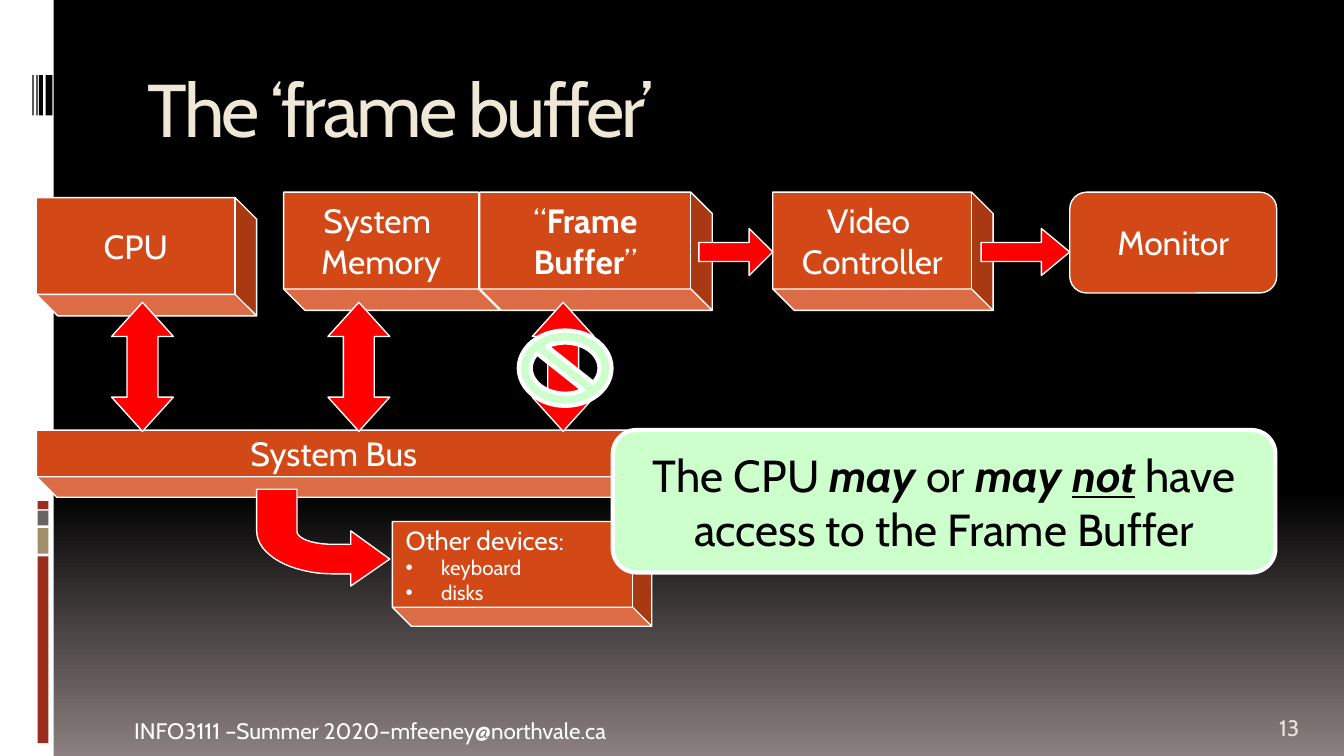
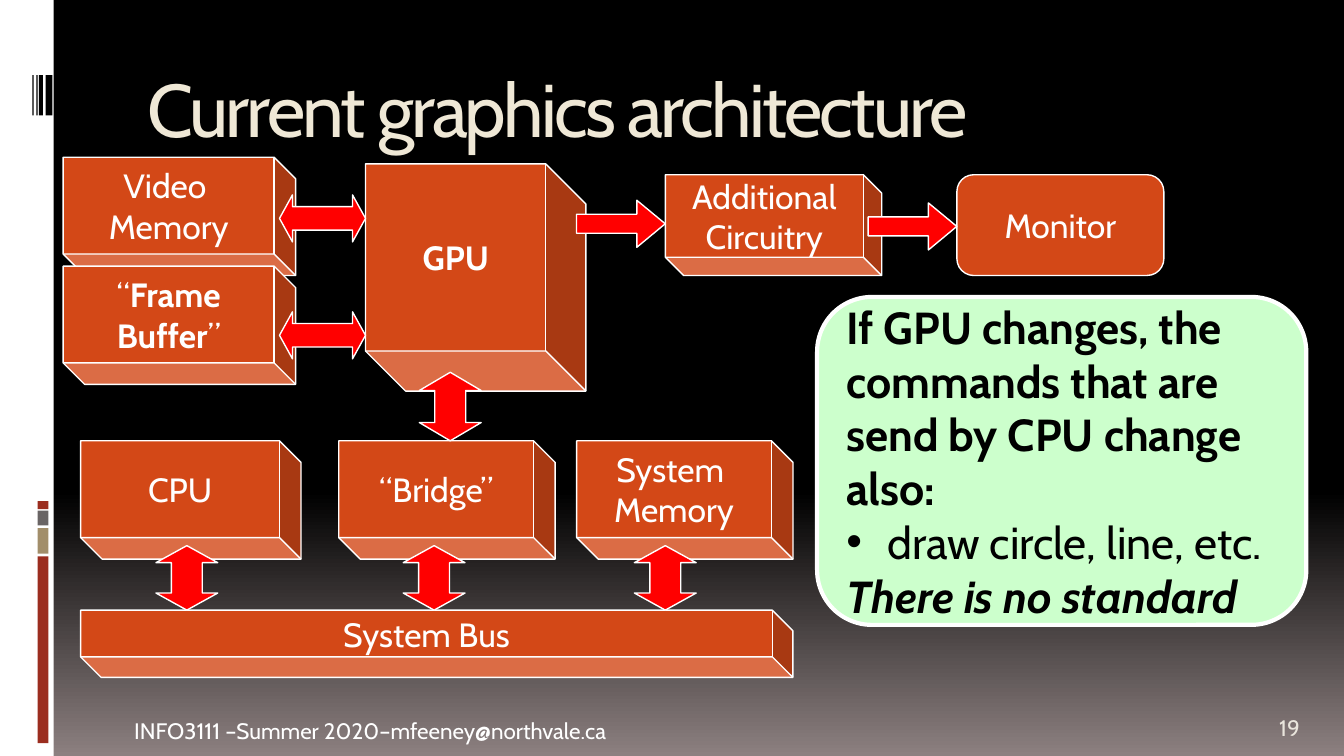
from pptx import Presentation
from pptx.dml.color import RGBColor
from pptx.enum.shapes import MSO_SHAPE
from pptx.enum.text import MSO_ANCHOR, PP_ALIGN
from pptx.oxml.ns import qn
from pptx.util import Inches, Pt

RECT = MSO_SHAPE.RECTANGLE
ROUND = MSO_SHAPE.ROUNDED_RECTANGLE
CUBE = MSO_SHAPE.CUBE
RIGHT = MSO_SHAPE.RIGHT_ARROW
DOUBLE = MSO_SHAPE.LEFT_RIGHT_ARROW
BAN = MSO_SHAPE.NO_SYMBOL
LEFT, CENTER = PP_ALIGN.LEFT, PP_ALIGN.CENTER
TOP, MIDDLE, BOTTOM = MSO_ANCHOR.TOP, MSO_ANCHOR.MIDDLE, MSO_ANCHOR.BOTTOM


class Theme:
    font, dot = "Cabin", "Arial"
    black, white, ash = "000000", "FFFFFF", "8C8080"
    cream, pale = "EFE8D6", "E9E5DC"
    brick, sand, gray = "9B2D1F", "A28E6A", "696464"
    block, arrow, note = "D34817", "FF0000", "CCFFCC"
    title, call, label, list, foot, item = 40, 24, 18, 14, 12, 11
    thin, thick = 0.75, 2.25
    hang = 0.23


def put(slide, kind, box, fill, line=0, adjs=()):
    shape = slide.shapes.add_shape(kind, *[Inches(n) for n in box])
    shape.shadow.inherit = False
    shape.fill.solid()
    shape.fill.fore_color.rgb = RGBColor.from_string(fill)
    if line:
        shape.line.color.rgb = RGBColor.from_string(Theme.white)
        shape.line.width = Pt(line)
    else:
        shape.line.fill.background()
    for pos, value in enumerate(adjs):
        shape.adjustments[pos] = value
    return shape


def write(shape, lines, size, color, align=CENTER, anchor=MIDDLE, wrap=False, small=None):
    frame = shape.text_frame
    frame.word_wrap = wrap
    frame.vertical_anchor = anchor
    for row, line in enumerate(lines):
        para = frame.add_paragraph() if row else frame.paragraphs[0]
        para.alignment = align
        parts = [(line, "")] if isinstance(line, str) else line
        mark = parts[0][0].startswith("•")
        if mark:
            parts = [(parts[0][0][1:], "")]
            props = para._p.get_or_add_pPr()
            props.set("marL", str(Inches(Theme.hang)))
            props.set("indent", str(-Inches(Theme.hang)))
            props.append(props.makeelement(qn("a:buFont"), {"typeface": Theme.dot}))
            props.append(props.makeelement(qn("a:buChar"), {"char": "•"}))
        for text, flags in parts:
            start = len(para.runs)
            if start:
                para.add_run().text = text
            else:
                para.text = text
            for run in para.runs[start:]:
                font = run.font
                font.name = Theme.font
                font.size = Pt(small if mark and small else size)
                font.color.rgb = RGBColor.from_string(color)
                font.bold = "b" in flags
                font.italic = "i" in flags
                font.underline = "u" in flags


deck = Presentation()
deck.slide_width = Inches(10)
deck.slide_height = deck.slide_width * 9 // 16
blank = deck.slide_layouts[6]

bands = [
    (0, 0, 0.4, deck.slide_height.inches, Theme.white),
    (0.28, 4.14, 0.08, 1.39, Theme.brick),
    (0.28, 3.93, 0.08, 0.19, Theme.sand),
    (0.28, 3.8, 0.08, 0.11, Theme.gray),
    (0.28, 3.73, 0.08, 0.06, Theme.brick),
]
bands += [(x, 0.56, w, 0.3, Theme.black)
          for x, w in [(0.34, 0.05), (0.29, 0.03), (0.27, 0.01), (0.24, 0.01)]]

memory = ["System ", "Memory"]
buffer = [[("“", ""), ("Frame", "b")], [("Buffer", "b"), ("”", "")]]

pages = [
    {
        "title": "The ‘frame buffer’",
        "page": "13",
        "cubes": [
            (0.27, 1.47, 1.64, 0.88, ["CPU"]),
            (5.75, 1.43, 1.64, 0.88, ["Video ", "Controller"]),
            (0.27, 3.2, 4.58, 0.5, ["System Bus"]),
            (2.92, 3.88, 1.93, 0.78, ["Other devices:", "• keyboard", "• disks"]),
            (2.11, 1.43, 1.61, 0.88, memory),
            (3.57, 1.43, 1.73, 0.88, buffer),
        ],
        "screen": (7.96, 1.43),
        "right": [(7.3, 1.7, 0.66, 0.603), (5.2, 1.7, 0.55, 0.502)],
        "flat": [],
        "tall": [(mid, 2.25, 0.96, 0.553) for mid in (1.06, 2.67, 4.19)],
        "note": (4.56, 3.2, 4.93, 1.06),
        "align": CENTER,
        "words": [
            [("The CPU ", ""), ("may", "bi"), (" or ", ""), ("may ", "bi"),
             ("not", "biu"), (" have", "")],
            "access to the Frame Buffer",
        ],
    },
    {
        "title": "Current graphics architecture",
        "page": "19",
        "cubes": [
            (0.6, 3.28, 1.64, 0.88, ["CPU"]),
            (0.6, 4.54, 5.3, 0.5, ["System Bus"]),
            (4.29, 3.28, 1.61, 0.88, memory),
            (0.47, 1.17, 1.73, 0.88, ["Video ", "Memory"]),
            (2.72, 1.22, 1.64, 1.69, [[("GPU", "b")]]),
            (0.47, 1.98, 1.73, 0.88, buffer),
            (2.52, 3.28, 1.61, 0.88, ["“Bridge”"]),
            (4.95, 1.3, 1.61, 0.75, ["Additional", "Circuitry"]),
        ],
        "screen": (7.12, 1.3),
        "right": [(4.29, 1.49, 0.66, 0.603), (6.46, 1.51, 0.66, 0.603)],
        "flat": [(2.08, 2.32), (2.08, 1.45)],
        "tall": [(mid, 4.06, 0.48, 0.276) for mid in (1.39, 3.23, 4.95)]
                + [(3.35, 2.77, 0.51, 0.295)],
        "note": (6.08, 2.21, 3.64, 2.44),
        "align": LEFT,
        "words": [
            [("If GPU changes, the\vcommands that are \vsend by CPU change\valso:", "b")],
            "• draw circle, line, etc.",
            [("There is no standard", "bi")],
        ],
    },
]

for page in pages:
    slide = deck.slides.add_slide(blank)
    back = slide.background.fill
    back.gradient()
    back.gradient_angle = 270
    for stop, spot, color in zip(back.gradient_stops, (0.65, 1), (Theme.black, Theme.ash)):
        stop.position = spot
        stop.color.rgb = RGBColor.from_string(color)

    for *box, color in bands:
        put(slide, RECT, box, color)

    for box, text, size, color, anchor in [
        ((0.9, 5.29, 8.11, 0.3), "INFO3111 –Summer 2020–mfeeney@northvale.ca",
         Theme.foot, Theme.white, TOP),
        ((9.42, 5.26, 0.5, 0.3), page["page"], Theme.foot, Theme.pale, BOTTOM),
        ((1, 0.42, 8.5, 0.75), page["title"], Theme.title, Theme.cream, TOP),
    ]:
        field = slide.shapes.add_textbox(*[Inches(n) for n in box])
        write(field, [text], size, color, LEFT, anchor, True)
    for run in field.text_frame.paragraphs[0].runs:
        run.font._element.set("spc", "-150")

    for *box, lines in page["cubes"]:
        depth = 0.306 if box[3] == 0.5 else 0.182
        cube = put(slide, CUBE, box, Theme.block, Theme.thin, [depth])
        cube.rotation = 180
        cube.element.spPr.xfrm.set("flipH", "1")
        cube.element.txBody.bodyPr.set("rot", "10800000")
        if len(lines) == 3:
            write(cube, lines, Theme.list, Theme.white, LEFT, small=Theme.item)
        else:
            write(cube, lines, Theme.label, Theme.white)

    screen = put(slide, ROUND, (*page["screen"], 1.54, 0.75), Theme.block, Theme.thin, [0.167])
    write(screen, ["Monitor"], Theme.label, Theme.white)

    for x, y, w, head in page["right"]:
        put(slide, RIGHT, (x, y, w, 0.35), Theme.arrow, Theme.thin, [0.406, head])
    for x, y in page["flat"]:
        put(slide, DOUBLE, (x, y, 0.64, 0.35), Theme.arrow, Theme.thin, [0.5, 0.276])

    note = put(slide, ROUND, page["note"], Theme.note, Theme.thick, [0.167])
    write(note, page["words"], Theme.call, Theme.black, page["align"])

    for mid, top, span, head in page["tall"]:
        box = (mid - span / 2, top + span / 2 - 0.23, span, 0.46)
        tall = put(slide, DOUBLE, box, Theme.arrow, Theme.thin, [0.5, head])
        tall.rotation = 90

first = deck.slides[0]
put(first, BAN, (3.86, 2.46, 0.69, 0.56), Theme.note, Theme.thick, [0.16])

bends = []
for curve in [
    [(2.48, 4.27), (2.17, 4.27), (1.91, 4.13), (1.91, 3.95)],
    [(2.21, 3.95), (2.21, 4.01), (2.33, 4.05), (2.48, 4.05)],
]:
    bends.append([
        tuple(a * (1 - t) ** 3 + 3 * b * t * (1 - t) ** 2 + 3 * c * t * t * (1 - t) + d * t ** 3
              for a, b, c, d in zip(*curve))
        for t in [step / 16 for step in range(17)]
    ])
outer, inner = bends
points = [(2.9, 4.16), (2.61, 4.36), (2.61, 4.27), *outer, (1.91, 3.64), (2.21, 3.64),
          *inner, (2.61, 4.05), (2.61, 3.95)]
points = [(x * 1000, y * 1000) for x, y in points]
pen = first.shapes.build_freeform(*points[0], scale=Inches(1) / 1000)
pen.add_line_segments(points[1:], close=True)
hook = pen.convert_to_shape()
hook.shadow.inherit = False
hook.fill.solid()
hook.fill.fore_color.rgb = RGBColor.from_string(Theme.arrow)
hook.line.color.rgb = RGBColor.from_string(Theme.white)
hook.line.width = Pt(Theme.thin)

deck.save("out.pptx")
